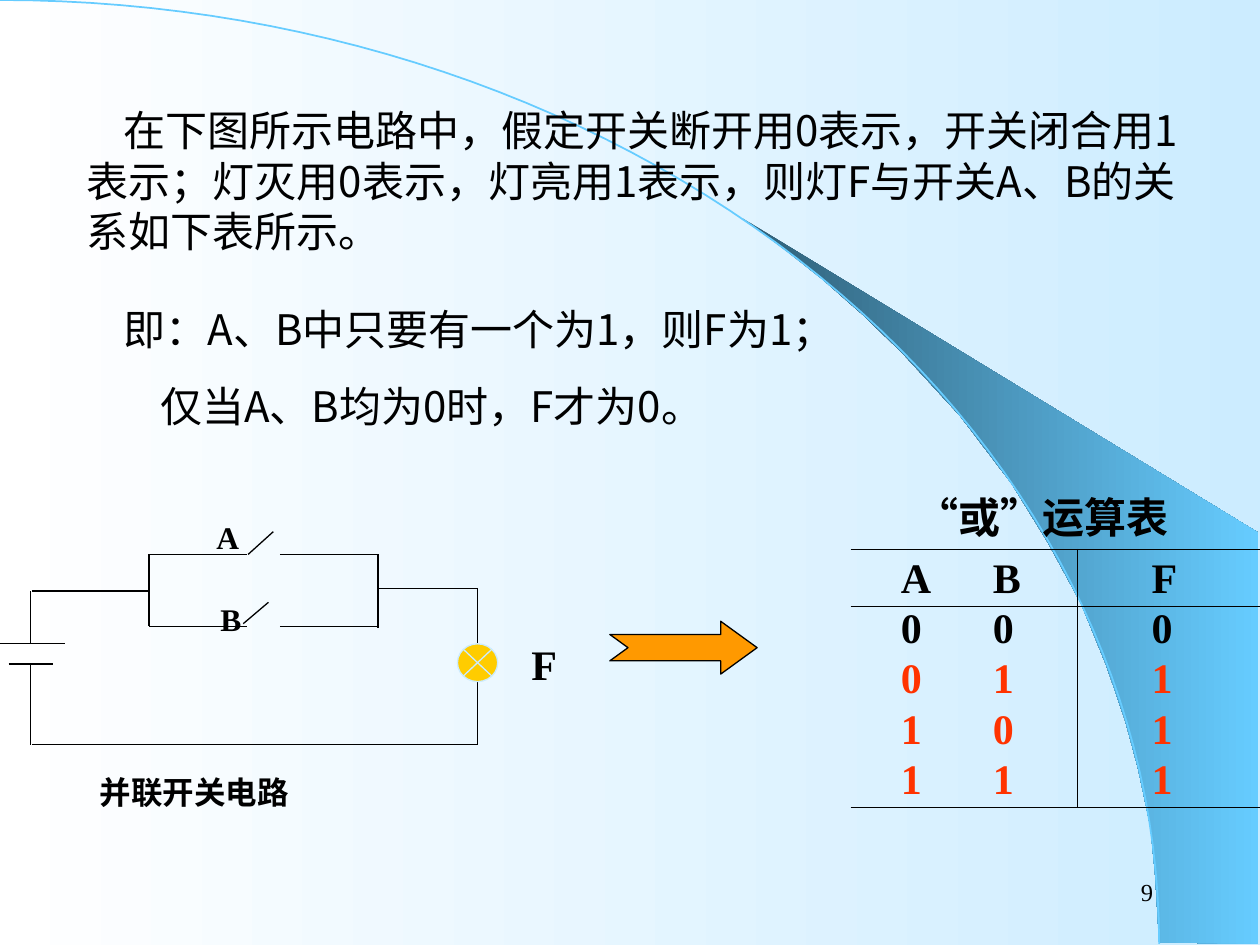
"""Builds the slide on the OR relation of a parallel switch circuit."""
from math import cos, pi, sin

from lxml import etree
from pptx import Presentation
from pptx.dml.color import RGBColor
from pptx.enum.shapes import MSO_CONNECTOR, MSO_SHAPE
from pptx.enum.text import MSO_ANCHOR, PP_ALIGN
from pptx.oxml.ns import qn
from pptx.util import Pt

STRAIGHT = MSO_CONNECTOR.STRAIGHT
ARROW = MSO_SHAPE.NOTCHED_RIGHT_ARROW
LAMP = MSO_SHAPE.FLOWCHART_SUMMING_JUNCTION
TOP, MIDDLE = MSO_ANCHOR.TOP, MSO_ANCHOR.MIDDLE
LEFT, RIGHT = PP_ALIGN.LEFT, PP_ALIGN.RIGHT

BLACK = RGBColor(0x00, 0x00, 0x00)
WHITE = RGBColor(0xFF, 0xFF, 0xFF)
RED = RGBColor(0xFF, 0x33, 0x00)
ORANGE = RGBColor(0xFF, 0x99, 0x00)
YELLOW = RGBColor(0xFF, 0xCC, 0x00)
PALE = RGBColor(0xCC, 0xEC, 0xFF)
SKY = RGBColor(0x66, 0xCC, 0xFF)
DEEP = RGBColor(0x2F, 0x5E, 0x76)

SANS, SERIF = "Noto Sans CJK SC", "Times New Roman"
BODY = {"size": Pt(24), "name": SANS}
HEADING = {**BODY, "bold": True}
CAPTION = {**HEADING, "size": Pt(18)}
LETTER = {**HEADING, "name": SERIF}
SWITCH = {**LETTER, "size": Pt(18)}
NUMBER = {"size": Pt(14), "name": SERIF}
SANS_LINE = Pt(28.9)

SWOOSH = [
    (662.4, 538.6), (719.3, 539.3), (719.3, 304.6), (424.1, 124.6),
    (449.3, 143.3), (470.2, 159.8), (493.2, 180), (515.5, 201.6),
    (548.6, 237.6), (578.2, 276.5), (599, 310.3), (617.8, 344.9),
    (632.2, 380.2), (643, 411.8), (650.2, 438.5), (657.4, 472.3),
    (660.2, 501.1),
]
ARC = [(662.4 * sin(step * pi / 120), 539.3 * (1 - cos(step * pi / 120)))
       for step in range(61)]

BODY_LINES = [
    ("在下图所示电路中，假定开关断开用0表示，开关闭合用1表示；灯灭用0表示，"
     "灯亮用1表示，则灯F与开关A、B的关系如下表所示。", 21, 0),
    ("即：A、B中只要有一个为1，则F为1；", 21, 27),
    ("仅当A、B均为0时，F才为0。", 42, 15),
]
WIRES = [
    (141.8, 316.8, 156.2, 303.8), (139, 356.4, 153.4, 344.2),
    (5, 379.4, 30.2, 379.4), (0, 367.9, 37.4, 367.9),
    (17.3, 367.9, 17.3, 337.7), (17.3, 380.2, 17.3, 425.5),
    (18.5, 337.7, 85.2, 337.7), (85.2, 316.8, 85.2, 358),
    (85.2, 316.8, 141.3, 316.8), (85.2, 358, 141.3, 358),
    (160, 316.8, 216, 316.8), (160, 358, 216, 358),
    (216, 316.8, 216, 359), (216, 336.5, 272.9, 336.5),
    (272.9, 336.5, 272.9, 375.1), (272.9, 389.5, 272.9, 425.5),
    (18.5, 425.5, 272.9, 425.5),
]
TRUTH_ROWS = ["ABF", "000", "011", "101", "111"]
TRUTH_COLUMNS = [(52.6, 28.8), (77, 28.8), (104.4, 42.5)]


class Painter:
    """Holds the line style and the slide being drawn."""

    def __init__(self, slide, line_width=0.75, line_color=BLACK):
        self.slide = slide
        self.shapes = slide.shapes
        self.line_width = Pt(line_width)
        self.line_color = line_color

    def gradient(self, fill, *colors):
        fill.gradient()
        fill.gradient_angle = 0
        for position, (stop, color) in enumerate(zip(fill.gradient_stops, colors)):
            stop.position = position
            stop.color.rgb = color

    def add_span(self, para, text, style, color=BLACK):
        span = para.add_run()
        span.text = text
        for key, value in style.items():
            setattr(span.font, key, value)
        span.font.color.rgb = color
        etree.SubElement(span.font._element, qn("a:ea"), typeface=SANS)

    def text(self, frame, lines, style, anchor=TOP, align=LEFT):
        box = self.shapes.add_textbox(*map(Pt, frame))
        body = box.text_frame
        body.word_wrap = True
        body.vertical_anchor = anchor
        for index, (text, indent, before) in enumerate(lines):
            para = body.add_paragraph() if index else body.paragraphs[0]
            para.alignment = align
            if before:
                para.space_before = Pt(before)
            if style["name"] == SANS:
                para.line_spacing = SANS_LINE
            para._p.get_or_add_pPr().set("indent", str(Pt(indent)))
            self.add_span(para, text, style)

    def line(self, *ends):
        wire = self.shapes.add_connector(STRAIGHT, *map(Pt, ends))
        wire.line.width = self.line_width
        wire.line.color.rgb = self.line_color
        etree.SubElement(wire._element.spPr, qn("a:effectLst"))

    def shape(self, kind, frame, fill, outline):
        shape = self.shapes.add_shape(kind, *map(Pt, frame))
        shape.shadow.inherit = False
        shape.fill.solid()
        shape.fill.fore_color.rgb = fill
        shape.line.color.rgb = outline
        shape.line.width = self.line_width
        return shape

    def outline(self, points, close):
        corners = [(Pt(x), Pt(y)) for x, y in points]
        builder = self.shapes.build_freeform(*corners[0])
        builder.add_line_segments(corners[1:], close=close)
        shape = builder.convert_to_shape()
        shape.shadow.inherit = False
        return shape

    def borders(self, cell, shown):
        properties = cell._tc.get_or_add_tcPr()
        for side in "LRTB":
            edge = etree.SubElement(properties, qn(f"a:ln{side}"), w=str(self.line_width))
            if side in shown:
                paint = etree.SubElement(edge, qn("a:solidFill"))
                etree.SubElement(paint, qn("a:srgbClr"), val=str(self.line_color))
            else:
                etree.SubElement(edge, qn("a:noFill"))

    def table(self, frame, rows, columns, row_height, header_gap):
        grid = self.shapes.add_table(len(rows), len(columns), *map(Pt, frame)).table
        grid.first_row = grid.horz_banding = False
        for column, (width, _) in zip(grid.columns, columns):
            column.width = Pt(width)
        for row, values in enumerate(rows):
            gap = 0 if row else header_gap
            grid.rows[row].height = Pt(row_height + gap)
            color = RED if "1" in values else BLACK
            sides = {0: "TB", 1: "T", len(rows) - 1: "B"}.get(row, "")
            for column, (value, (_, inset)) in enumerate(zip(values, columns)):
                cell = grid.cell(row, column)
                margins = {"margin_left": inset, "margin_top": gap,
                           "margin_right": 0, "margin_bottom": 0}
                for key, margin in margins.items():
                    setattr(cell, key, Pt(margin))
                self.borders(cell, sides + ("", "R", "L")[column])
                cell.fill.background()
                self.add_span(cell.text_frame.paragraphs[0], value, LETTER, color)


def main():
    deck = Presentation()
    deck.slide_width, deck.slide_height = Pt(720), Pt(540)
    page = Painter(deck.slides.add_slide(deck.slide_layouts[6]))
    page.gradient(page.slide.background.fill, WHITE, PALE)

    swoosh = page.outline(SWOOSH, close=True)
    page.gradient(swoosh.fill, DEEP, SKY)
    swoosh.line.fill.background()
    arc = page.outline(ARC, close=False)
    arc.fill.background()
    arc.line.color.rgb = SKY
    arc.line.width = Pt(1)

    page.text((516.2, 491.8, 149.8, 36), [("9", 0, 0)], NUMBER, MIDDLE, RIGHT)
    page.text((42.5, 56.2, 653.8, 193.7), BODY_LINES, BODY)

    page.text((500.4, 277.2, 196.6, 36), [("“或”运算表", 16, 0)], HEADING)
    page.table((486, 313.9, 234, 141.6), TRUTH_ROWS, TRUTH_COLUMNS, 27.6, 3.6)

    for wire in WIRES:
        page.line(*wire)
    page.shape(LAMP, (261.4, 367.9, 23, 21.6), YELLOW, PALE)
    page.text((116.6, 292.3, 27.4, 28.8), [("A", 0, 0)], SWITCH)
    page.text((118.8, 339.1, 26, 28.8), [("B", 0, 0)], SWITCH)
    page.text((296.6, 361.4, 28.8, 36), [("F", 0, 0)], LETTER)
    page.text((23, 430.6, 244, 36), [("并联开关电路", 27, 0)], CAPTION)

    arrow = page.shape(ARROW, (348.5, 355, 84.2, 30.2), ORANGE, BLACK)
    arrow.adjustments[1] = 0.69
    deck.save("out.pptx")


if __name__ == "__main__":
    main()
